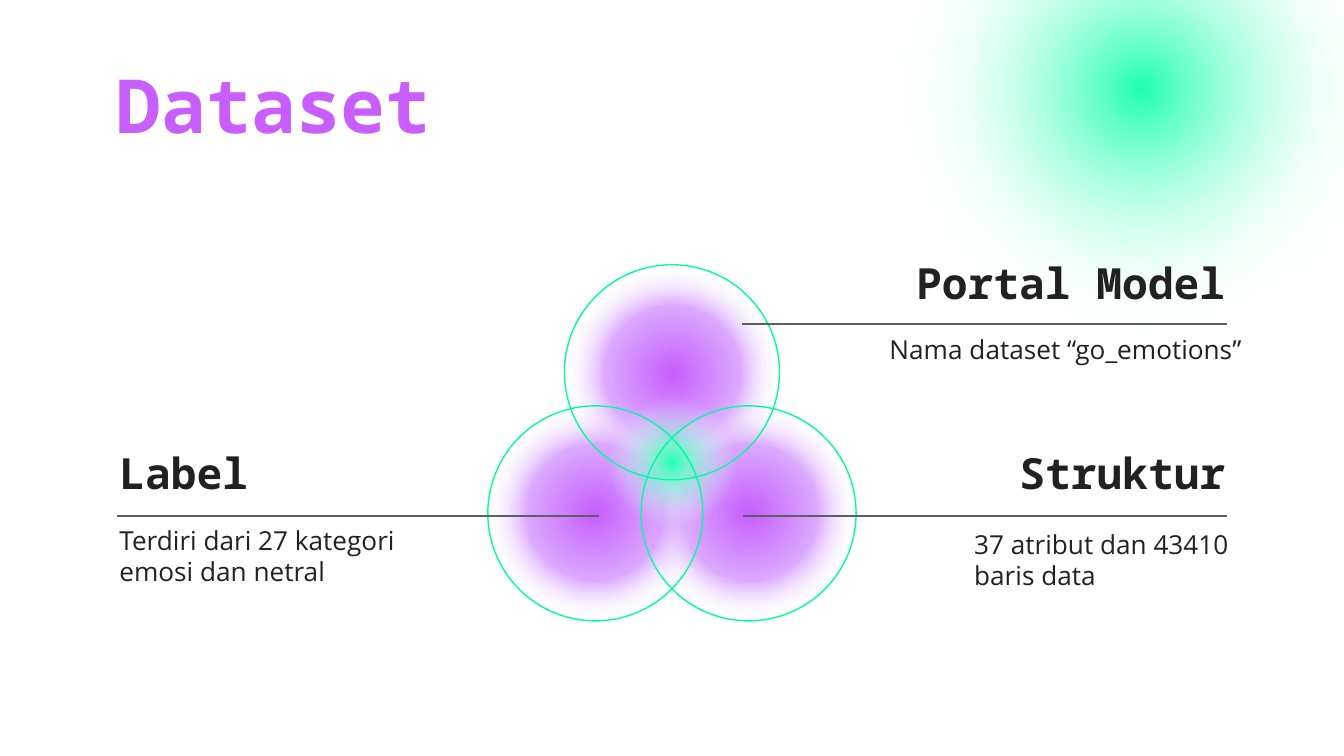
from lxml import etree
from pptx import Presentation
from pptx.dml.color import RGBColor
from pptx.enum.shapes import MSO_CONNECTOR, MSO_SHAPE
from pptx.enum.text import MSO_ANCHOR, MSO_AUTO_SIZE, PP_ALIGN
from pptx.oxml import parse_xml
from pptx.oxml.ns import nsdecls, qn
from pptx.util import Inches, Pt

PURPLE, GREEN, INK = "C95EFF", "1EFFB2", "212121"
HEADING_FONT, BODY_FONT = "Noto Sans Mono", "Open Sans"

# Gradient stops: position, colour, opacity, all in percent
GREEN_GLOW = [(0, GREEN, 100), (50, "FFFFFF", 0), (100, "FFFFFF", 0)]
PURPLE_GLOW = [(0, PURPLE, 100), (38, "BF62FF", 54), (61, "FFFFFF", 0), (100, "FFFFFF", 0)]

rgb = RGBColor.from_string


def add_circle(left, top, size, glow=None):
    """Add a circle filled with a radial glow, or a green ring without one."""
    circle = slide.shapes.add_shape(
        MSO_SHAPE.OVAL, Inches(left), Inches(top), Inches(size), Inches(size))
    circle.shadow.inherit = False
    circle.fill.background()
    if not glow:
        circle.line.color.rgb = rgb("00FF9C")
        circle.line.width = Pt(0.75)
        return
    circle.line.fill.background()
    stops = "".join(
        f'<a:gs pos="{pos * 1000}"><a:srgbClr val="{color}">'
        f'<a:alpha val="{opacity * 1000}"/></a:srgbClr></a:gs>'
        for pos, color, opacity in glow)
    gradient = parse_xml(
        f'<a:gradFill {nsdecls("a")} rotWithShape="1"><a:gsLst>{stops}</a:gsLst>'
        '<a:path path="circle"><a:fillToRect l="50000" t="50000" r="50000" b="50000"/>'
        '</a:path></a:gradFill>')
    properties = circle._element.spPr
    properties.replace(properties.find(qn("a:noFill")), gradient)


def write_text(box, text, font, size, color, align=PP_ALIGN.LEFT):
    """Fill a box with one paragraph; the heading font is bold and tight."""
    frame = box.text_frame
    frame.word_wrap = True
    frame.auto_size = MSO_AUTO_SIZE.NONE
    frame.vertical_anchor = MSO_ANCHOR.TOP
    frame.margin_left = frame.margin_right = Inches(0.1)
    frame.margin_top = frame.margin_bottom = Inches(0.1)
    paragraph = frame.paragraphs[0]
    paragraph.text = text
    paragraph.alignment = align
    paragraph.space_before = Pt(0)
    paragraph.line_spacing = 0.8 if font == HEADING_FONT else 1.0
    paragraph.font.name = font
    paragraph.font.size = Pt(size)
    paragraph.font.bold = font == HEADING_FONT
    paragraph.font.color.rgb = rgb(color)


# A 16:9 slide
presentation = Presentation()
presentation.slide_width = Inches(10)
presentation.slide_height = Inches(10) * 9 // 16
slide = presentation.slides.add_slide(presentation.slide_layouts[5])

# Title
title = slide.shapes.title
title.left, title.top = Inches(0.77), Inches(0.47)
title.width, title.height = Inches(8.45), Inches(1.25)
write_text(title, "Dataset", HEADING_FONT, 40, PURPLE)
title.text_frame.margin_right = Inches(2)

# Corner glow
add_circle(5.88, -1.94, 5.21, GREEN_GLOW)

# Three overlapping glows, a green centre and their rings
for left, top in [(4.07, 1.84), (4.64, 2.88), (3.49, 2.88)]:
    add_circle(left, top, 1.87, PURPLE_GLOW)
add_circle(4.32, 2.76, 1.36, GREEN_GLOW)
for left, top in [(4.2, 1.97), (4.77, 3.02), (3.63, 3.02)]:
    add_circle(left, top, 1.6)

# Callouts: heading, its place and alignment, description and its box, rule
callouts = [
    ("Portal Model", 6.69, 1.88, PP_ALIGN.RIGHT,
     "Nama dataset “go_emotions”", (6.52, 2.38, 2.84, 0.42), (9.13, 5.52, 2.41)),
    ("Struktur", 6.69, 3.3, PP_ALIGN.RIGHT,
     "37 atribut dan 43410 baris data", (7.15, 3.83, 2.18, 0.84), (9.13, 5.53, 3.84)),
    ("Label", 0.79, 3.3, PP_ALIGN.LEFT,
     "Terdiri dari 27 kategori emosi dan netral", (0.79, 3.8, 2.53, 0.84), (4.46, 0.87, 3.84)),
]
for heading, left, top, align, description, description_box, (start, end, rule_y) in callouts:
    heading_box = slide.shapes.add_textbox(
        Inches(left), Inches(top), Inches(2.53), Inches(0.42))
    write_text(heading_box, heading, HEADING_FONT, 23, INK, align)

    body = slide.shapes.add_textbox(*[Inches(length) for length in description_box])
    write_text(body, description, BODY_FONT, 14, INK)

    rule = slide.shapes.add_connector(
        MSO_CONNECTOR.STRAIGHT, Inches(start), Inches(rule_y), Inches(end), Inches(rule_y))
    rule.line.color.rgb = rgb("5F5F5F")
    rule.line.width = Pt(0.75)
    etree.SubElement(rule._element.spPr, qn("a:effectLst"))

presentation.save("out.pptx")
